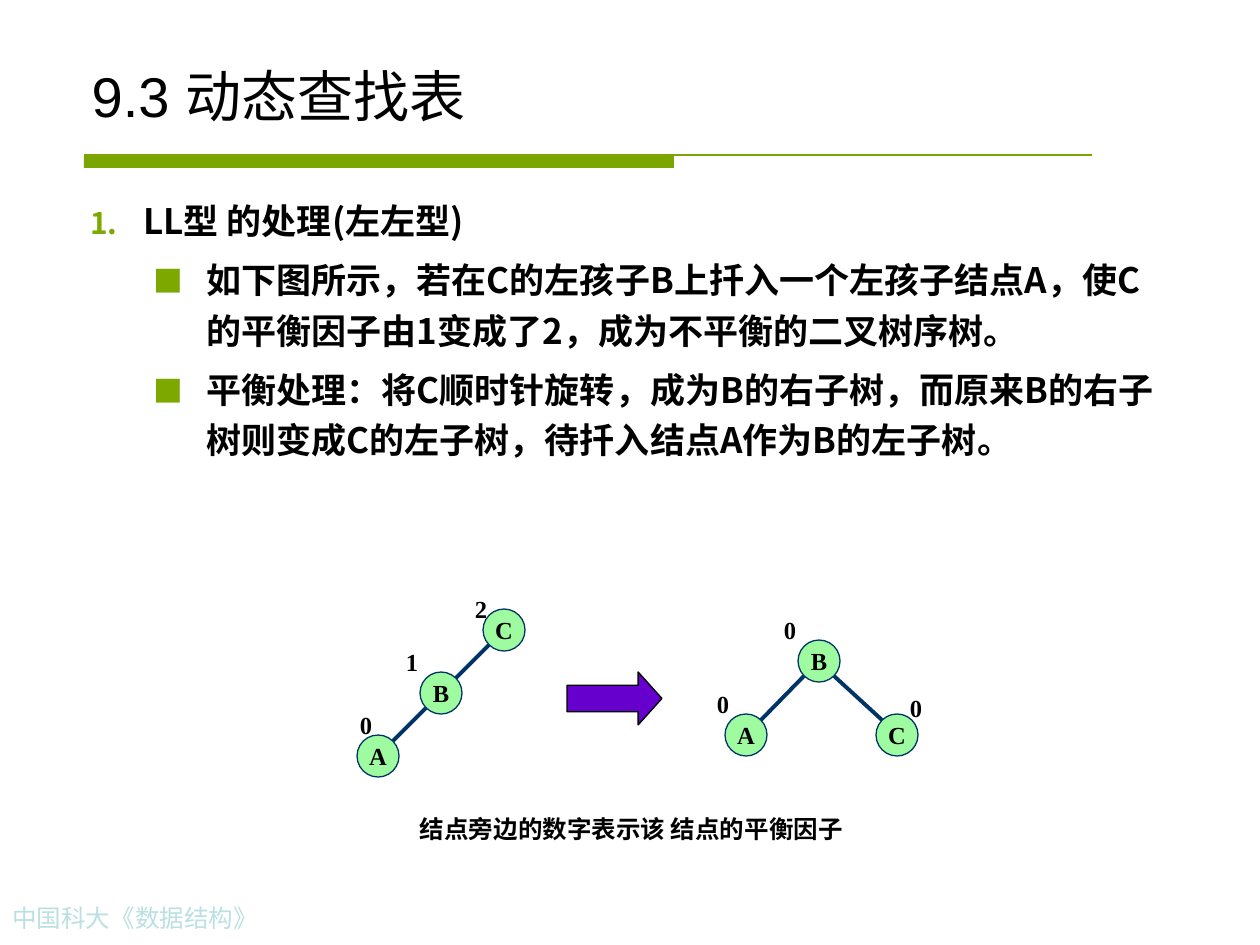
from dataclasses import dataclass

from lxml.etree import SubElement
from pptx import Presentation
from pptx.dml.color import RGBColor
from pptx.enum.shapes import MSO_CONNECTOR, MSO_SHAPE
from pptx.enum.text import MSO_ANCHOR, MSO_AUTO_SIZE, PP_ALIGN
from pptx.oxml.ns import qn
from pptx.shapes.autoshape import Shape
from pptx.shapes.group import GroupShape
from pptx.slide import Slide
from pptx.text.text import TextFrame, _Paragraph
from pptx.util import Emu, Pt

EMU_PER_PX = 914400 / 126
NODE_SIZE = 42
NODE_RIM = 15
LABEL_WIDTH, LABEL_HEIGHT = 38, 43

BLACK = RGBColor(0x00, 0x00, 0x00)
RULE_GREEN = RGBColor(0x7B, 0xA6, 0x00)
BULLET_GREEN = RGBColor(0x7C, 0xA8, 0x00)
NODE_GREEN = RGBColor(0x9F, 0xFB, 0x9F)
NAVY = RGBColor(0x00, 0x33, 0x66)
PURPLE = RGBColor(0x66, 0x00, 0xCC)
PALE_BLUE = RGBColor(0xBB, 0xE0, 0xE3)

TITLE_FONT = "Arial"
BODY_FONT = "Noto Sans CJK SC"
DIAGRAM_FONT = "Times New Roman"


@dataclass(frozen=True)
class Node:
    name: str
    left: int
    top: int
    balance: str
    label_left: int
    label_top: int


@dataclass(frozen=True)
class Tree:
    nodes: tuple[Node, ...]
    edges: tuple[tuple[str, str], ...]


@dataclass(frozen=True)
class Item:
    text: str
    level: int


TREES = (
    Tree(
        (
            Node("C", 483, 609, "2", 462, 588),
            Node("B", 420, 672, "1", 393, 641),
            Node("A", 357, 735, "0", 347, 704),
        ),
        (("C", "B"), ("B", "A")),
    ),
    Tree(
        (
            Node("C", 876, 714, "0", 897, 687),
            Node("B", 798, 640, "0", 771, 609),
            Node("A", 725, 714, "0", 704, 683),
        ),
        (("B", "C"), ("B", "A")),
    ),
)

ITEMS = (
    Item("LL型 的处理(左左型)", 0),
    Item("如下图所示，若在C的左孩子B上扦入一个左孩子结点A，使C的平衡因子由1变成了2，成为不平衡的二叉树序树。", 1),
    Item("平衡处理：将C顺时针旋转，成为B的右子树，而原来B的右子树则变成C的左子树，待扦入结点A作为B的左子树。", 1),
)


def px(value: int) -> Emu:
    """Turn pixels into EMU."""
    return Emu(round(value * EMU_PER_PX))


def box(left: int, top: int, width: int, height: int) -> tuple[Emu, ...]:
    """Turn a pixel box into EMU lengths."""
    return px(left), px(top), px(width), px(height)


def set_font(paragraph: _Paragraph, name: str, size: int, color: RGBColor, bold: bool) -> None:
    """Format a whole paragraph."""
    font = paragraph.font
    font.name, font.size, font.bold = name, Pt(size), bold
    font.color.rgb = color


def write_diagram_text(frame: TextFrame, text: str) -> None:
    """Write centred bold text that does not wrap."""
    frame.word_wrap = False
    paragraph = frame.paragraphs[0]
    paragraph.text = text
    paragraph.alignment = PP_ALIGN.CENTER
    set_font(paragraph, DIAGRAM_FONT, 14, BLACK, True)


def add_label(parent: Slide | GroupShape, text: str, left: int, top: int, width: int) -> None:
    """Add a centred caption."""
    frame = parent.shapes.add_textbox(*box(left, top, width, LABEL_HEIGHT)).text_frame
    frame.auto_size = MSO_AUTO_SIZE.SHAPE_TO_FIT_TEXT
    write_diagram_text(frame, text)


def add_filled_shape(
    parent: Slide | GroupShape, kind: MSO_SHAPE, bounds: tuple[int, ...], fill: RGBColor, line: RGBColor | None
) -> Shape:
    """Add a flat preset shape with a thin outline or none."""
    shape = parent.shapes.add_shape(kind, *box(*bounds))
    shape.shadow.inherit = False
    shape.fill.solid()
    shape.fill.fore_color.rgb = fill
    if line is None:
        shape.line.fill.background()
    else:
        shape.line.color.rgb = line
        shape.line.width = Pt(0.75)
    return shape


def add_line(
    parent: Slide | GroupShape, start: tuple[int, int], end: tuple[int, int], color: RGBColor, width: float
) -> None:
    """Add a straight line without a shadow."""
    connector = parent.shapes.add_connector(MSO_CONNECTOR.STRAIGHT, *map(px, start + end))
    connector.line.color.rgb = color
    connector.line.width = Pt(width)
    SubElement(connector.element.spPr, qn("a:effectLst"))


def add_edge(group: GroupShape, parent: Node, child: Node) -> None:
    """Join the facing diagonal rim points of two nodes."""
    centre = NODE_SIZE // 2
    reach = NODE_RIM if child.left > parent.left else -NODE_RIM
    start = (parent.left + centre + reach, parent.top + centre + NODE_RIM)
    end = (child.left + centre - reach, child.top + centre - NODE_RIM)
    add_line(group, start, end, NAVY, 2.25)


def add_tree(slide: Slide, tree: Tree) -> None:
    """Draw one grouped tree with its balance factors."""
    group = slide.shapes.add_group_shape()
    for node in tree.nodes:
        bounds = (node.left, node.top, NODE_SIZE, NODE_SIZE)
        circle = add_filled_shape(group, MSO_SHAPE.OVAL, bounds, NODE_GREEN, NAVY)
        circle.text_frame.vertical_anchor = MSO_ANCHOR.MIDDLE
        write_diagram_text(circle.text_frame, node.name)
    by_name = {node.name: node for node in tree.nodes}
    for parent, child in tree.edges:
        add_edge(group, by_name[parent], by_name[child])
    for node in tree.nodes:
        add_label(group, node.balance, node.label_left, node.label_top, LABEL_WIDTH)


def add_bullet(paragraph: _Paragraph, level: int) -> None:
    """Give a paragraph its number or square and a hanging indent."""
    properties = paragraph._p.get_or_add_pPr()
    properties.set("marL", str(px(53 + 63 * level)))
    properties.set("indent", str(-px(53)))
    color = SubElement(properties, qn("a:buClr"))
    SubElement(color, qn("a:srgbClr"), val=str(BULLET_GREEN))
    SubElement(properties, qn("a:buSzPct"), val="85000")
    SubElement(properties, qn("a:buFont"), typeface=BODY_FONT)
    if level == 0:
        SubElement(properties, qn("a:buAutoNum"), type="arabicPeriod")
    else:
        SubElement(properties, qn("a:buChar"), char="■")


def add_body(slide: Slide) -> None:
    """Add the numbered heading and its points."""
    frame = slide.shapes.add_textbox(*box(78, 185, 1109, 362)).text_frame
    frame.word_wrap = True
    for index, item in enumerate(ITEMS):
        paragraph = frame.add_paragraph() if index else frame.paragraphs[0]
        paragraph.text = item.text
        paragraph.level = item.level
        add_bullet(paragraph, item.level)
        paragraph.line_spacing = 1.2
        if index:
            paragraph.space_before = Pt(5)
        set_font(paragraph, BODY_FONT, 20, BLACK, True)


def add_title(slide: Slide) -> None:
    """Place and format the title."""
    title = slide.shapes.title
    title.left, title.top, title.width, title.height = box(79, 42, 1103, 93)
    frame = title.text_frame
    frame.text = "9.3 动态查找表"
    frame.auto_size = MSO_AUTO_SIZE.NONE
    frame.vertical_anchor = MSO_ANCHOR.BOTTOM
    frame.paragraphs[0].alignment = PP_ALIGN.LEFT
    set_font(frame.paragraphs[0], TITLE_FONT, 32, BLACK, False)


def add_footer(slide: Slide) -> None:
    """Add the course name at the bottom left."""
    frame = slide.shapes.add_textbox(*box(0, 897, 392, LABEL_HEIGHT)).text_frame
    frame.word_wrap = True
    frame.text = "中国科大《数据结构》"
    set_font(frame.paragraphs[0], DIAGRAM_FONT, 14, PALE_BLUE, False)


def main() -> None:
    """Build and save the slide."""
    presentation = Presentation()
    presentation.slide_width, presentation.slide_height = px(1260), px(945)
    slide = presentation.slides.add_slide(presentation.slide_layouts[5])
    add_filled_shape(slide, MSO_SHAPE.RECTANGLE, (84, 155, 590, 13), RULE_GREEN, None)
    add_line(slide, (84, 155), (1092, 155), RULE_GREEN, 0.75)
    add_footer(slide)
    add_title(slide)
    add_body(slide)
    for tree in TREES:
        add_tree(slide, tree)
    arrow = add_filled_shape(slide, MSO_SHAPE.RIGHT_ARROW, (567, 672, 95, 53), PURPLE, BLACK)
    arrow.adjustments[0], arrow.adjustments[1] = 0.5, 0.45
    add_label(slide, "结点旁边的数字表示该 结点的平衡因子", 407, 808, 449)
    presentation.save("out.pptx")


if __name__ == "__main__":
    main()
